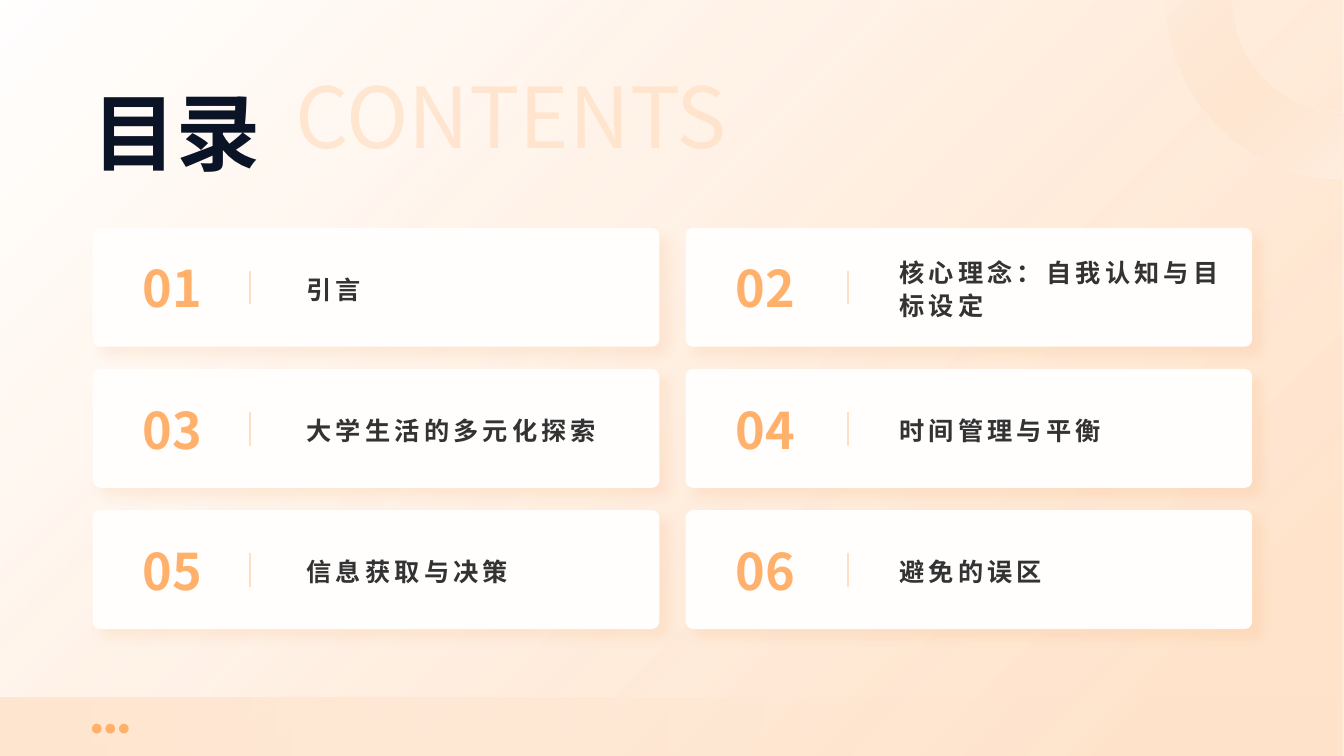
"""Build the contents slide: six numbered cards on a peach background."""
from math import cos, pi, sin

from lxml import etree
from pptx import Presentation
from pptx.dml.color import RGBColor
from pptx.enum.shapes import MSO_CONNECTOR, MSO_SHAPE
from pptx.enum.text import MSO_ANCHOR, PP_ALIGN
from pptx.oxml.ns import qn
from pptx.util import Inches, Pt

RECT, ROUND, OVAL = MSO_SHAPE.RECTANGLE, MSO_SHAPE.ROUNDED_RECTANGLE, MSO_SHAPE.OVAL
LINE = MSO_CONNECTOR.STRAIGHT
TOP, MID, LOW = MSO_ANCHOR.TOP, MSO_ANCHOR.MIDDLE, MSO_ANCHOR.BOTTOM
LEFT, MIDDLE = PP_ALIGN.LEFT, PP_ALIGN.CENTER

WIDE, HIGH = Inches(13.33), Inches(7.5)
FONT = "Noto Sans CJK SC"
ORANGE = RGBColor(0xFF, 0xB0, 0x6A)
DEEP = RGBColor(0xFF, 0x80, 0x10)
BAND = RGBColor(0xFF, 0xE6, 0xD0)
PEACH = RGBColor(0xFF, 0xD8, 0xB5)
CREAM = RGBColor(0xFF, 0xEF, 0xE1)
PALE = RGBColor(0xFF, 0xDF, 0xC3)
CARD = RGBColor(0xFF, 0xFE, 0xFD)
SHADE = RGBColor(0xE8, 0x6C, 0x00)
NAVY = RGBColor(0x0B, 0x14, 0x27)
GREY = RGBColor(0x33, 0x33, 0x33)

TOPICS = ["引言", "核心理念：自我认知与目标设定", "大学生活的多元化探索",
          "时间管理与平衡", "信息获取与决策", "避免的误区"]
COLS = 2
CARD_X, CARD_Y, STEP_X, STEP_Y = 6.9, 30.13, 44.11, 18.67
CARD_W, CARD_H = 42.16, 15.73


def across(share):
    """Turn a percentage of the slide width into a length."""
    return round(WIDE * share / 100)


def down(share):
    """Turn a percentage of the slide height into a length."""
    return round(HIGH * share / 100)


def place(x, y, w, h):
    """Turn a box in percentages into lengths."""
    return across(x), down(y), across(w), down(h)


def fade(color, share):
    """Set the opacity of a colour element in percent."""
    etree.SubElement(color, qn("a:alpha"), val=str(share * 1000))


def blend(fill, stops, angle):
    """Give a fill a two-stop gradient running clockwise from the right."""
    fill.gradient()
    fill.gradient_angle = 360 - angle
    for stop, (pos, color) in zip(fill.gradient_stops, stops):
        stop.position = pos
        stop.color.rgb = color


def veil(shape, stops, angle, alphas):
    """Fill a shape with a gradient of varying opacity."""
    blend(shape.fill, stops, angle)
    for color, share in zip(shape.element.xpath(".//a:gs/a:srgbClr"), alphas):
        fade(color, share)


def add_shape(slide, kind, box, color=None):
    """Add a plain preset shape without outline."""
    shape = slide.shapes.add_shape(kind, *place(*box))
    shape.shadow.inherit = False
    shape.line.fill.background()
    if color is not None:
        shape.fill.solid()
        shape.fill.fore_color.rgb = color
    return shape


def add_text(slide, text, box, size, color, *, end=None, bold=True, align=LEFT,
             anchor=MID, wrap=True, lead=None, track=0, alpha=None):
    """Add a text box with one formatted run."""
    frame = slide.shapes.add_textbox(*place(*box)).text_frame
    frame.word_wrap = wrap
    frame.vertical_anchor = anchor
    frame.margin_left = frame.margin_right = 0
    frame.margin_top = frame.margin_bottom = 0
    para = frame.paragraphs[0]
    para.alignment = align
    if lead:
        para.line_spacing = lead
    run = para.add_run()
    run.text = text
    font = run.font
    font.size, font.bold, font.name = Pt(size), bold, FONT
    if end is None:
        font.color.rgb = color
    else:
        blend(font.fill, [(0.28, color), (0.75, end)], 45)
    props = para.runs[0].font._element
    etree.SubElement(props, qn("a:ea"), typeface=FONT)
    if track:
        props.set("spc", str(track * 100))
    if alpha:
        fade(props.find(".//" + qn("a:srgbClr")), alpha)


def add_rule(slide, x, y, span):
    """Add a thin upright divider."""
    rule = slide.shapes.add_connector(LINE, across(x), down(y), across(x), down(y + span))
    rule.line.color.rgb = PALE
    rule.line.width = Pt(1.5)
    etree.SubElement(rule.element.spPr, qn("a:effectLst"))


def add_ring(slide, outer, inner, steps=60):
    """Add a quarter ring around the top right corner."""
    turns = [pi / 2 * i / steps for i in range(steps + 1)]
    arcs = [(outer, turns), (inner, turns[::-1])]
    points = [(round(WIDE - across(r) * cos(t)), round(across(r) * sin(t)))
              for r, arc in arcs for t in arc]
    path = slide.shapes.build_freeform(*points[0], scale=1.0)
    path.add_line_segments(points[1:], close=True)
    ring = path.convert_to_shape()
    ring.shadow.inherit = False
    ring.line.fill.background()
    veil(ring, [(0, PEACH), (1, CREAM)], 45, (0, 100))


def add_back(slide):
    """Add the wash, the bottom band, the dots and the ring."""
    wash = add_shape(slide, RECT, (0, 0, 100, 100))
    veil(wash, [(0, ORANGE), (0.88, ORANGE)], 45, (0, 34))
    band = add_shape(slide, RECT, (0, 92.27, 100, 7.73))
    veil(band, [(0, BAND), (1, BAND)], 0, (100, 0))
    for i in range(3):
        add_shape(slide, OVAL, (6.83 + 1.01 * i, 95.73, 0.73, 1.3), ORANGE)
    add_ring(slide, 13.28, 8.33)


def add_card(slide, i, topic):
    """Add one numbered card at its place in the grid."""
    row, col = divmod(i, COLS)
    x, y = CARD_X + STEP_X * col, CARD_Y + STEP_Y * row
    card = add_shape(slide, ROUND, (x, y, CARD_W, CARD_H), CARD)
    card.adjustments[0] = 0.063
    glow = etree.SubElement(card.element.spPr.find(qn("a:effectLst")), qn("a:outerShdw"),
                            blurRad=str(Pt(8)), dist=str(Pt(8)), dir="2700000",
                            algn="tl", rotWithShape="0")
    fade(etree.SubElement(glow, qn("a:srgbClr"), val=str(SHADE)), 8)
    add_rule(slide, x + 11.7 + 0.38 * col, y + 5.73, 4.4)
    add_text(slide, f"{i + 1:02}", (x + 1.35, y + 2.93, 9.15, 10), 36, ORANGE,
             end=DEEP, align=MIDDLE, wrap=False)
    add_text(slide, topic, (x + 15.9, y + 1.07, 26.26, 13.73), 18, GREY,
             lead=1.1, track=3)


def main():
    """Build and save the slide."""
    deck = Presentation()
    deck.slide_width, deck.slide_height = WIDE, HIGH
    slide = deck.slides.add_slide(deck.slide_layouts[6])
    add_back(slide)
    for i, topic in enumerate(TOPICS):
        add_card(slide, i, topic)
    add_text(slide, "目录", (CARD_X, 8.27, 14.4, 15.73), 60, NAVY, anchor=LOW)
    add_text(slide, "CONTENTS", (21.98, 8.53, 34.5, 16.13), 60, PALE,
             bold=False, anchor=TOP, wrap=False, alpha=70)
    deck.save("out.pptx")


if __name__ == "__main__":
    main()
